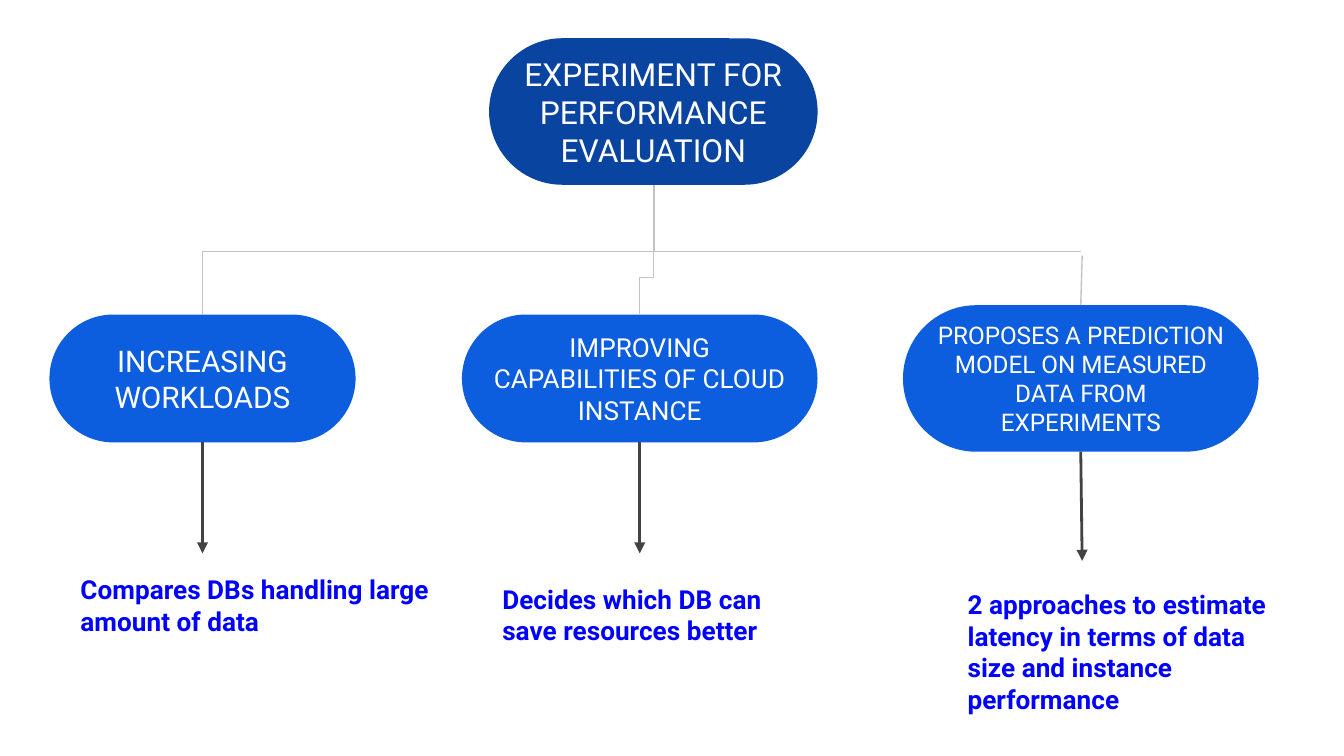
import lxml.etree
import pptx
import pptx.dml.color
import pptx.enum.shapes
import pptx.enum.text
import pptx.oxml.ns
import pptx.util

Pt = pptx.util.Pt
qn = pptx.oxml.ns.qn
MSO_CONNECTOR = pptx.enum.shapes.MSO_CONNECTOR
COLORS = {
    "root": "0944A1",
    "branch": "0D5DDF",
    "label": "FFFFFF",
    "note": "0000FF",
    "tree": "C2C2C2",
    "arrow": "434343",
}


def write(box, text, size, color, bold, align):
    frame = box.text_frame
    frame.word_wrap = True
    frame.margin_left = frame.margin_right = Pt(7.2)
    frame.margin_top = frame.margin_bottom = Pt(7.2)
    frame.text = text
    para = frame.paragraphs[0]
    para.alignment = align
    font = para.runs[0].font
    font.name, font.size, font.bold = "Roboto", Pt(size), bold
    font.color.rgb = pptx.dml.color.RGBColor.from_string(COLORS[color])


def connect(kind, start, end, color, width):
    """Add a connector between two points, without a shadow."""
    line = slide.shapes.add_connector(kind, *[Pt(value) for value in start + end])
    line.line.color.rgb = pptx.dml.color.RGBColor.from_string(COLORS[color])
    line.line.width = Pt(width)
    lxml.etree.SubElement(line._element.spPr, qn("a:effectLst"))
    return line


deck = pptx.Presentation()
deck.slide_width, deck.slide_height = Pt(720), Pt(405)
slide = deck.slides.add_slide(deck.slide_layouts[6])

# Rounded boxes: text, left, top, width, height, text size, fill
boxes = []
for text, left, top, width, height, size, fill in [
    ("EXPERIMENT FOR PERFORMANCE EVALUATION", 262, 20.5, 176, 78.5, 17, "root"),
    ("INCREASING WORKLOADS", 26.5, 168.5, 164, 68.5, 16, "branch"),
    ("IMPROVING CAPABILITIES OF CLOUD INSTANCE", 247.5, 168.5, 190.5, 68.5, 14, "branch"),
    ("PROPOSES A PREDICTION MODEL ON MEASURED DATA FROM EXPERIMENTS",
     483.75, 163.5, 190.5, 78.5, 13, "branch"),
]:
    box = slide.shapes.add_shape(
        pptx.enum.shapes.MSO_SHAPE.ROUNDED_RECTANGLE, Pt(left), Pt(top), Pt(width), Pt(height))
    box.adjustments[0] = 0.5
    box.shadow.inherit = False
    box.fill.solid()
    box.fill.fore_color.rgb = pptx.dml.color.RGBColor.from_string(COLORS[fill])
    box.line.fill.background()
    box.text_frame.vertical_anchor = pptx.enum.text.MSO_ANCHOR.MIDDLE
    write(box, text, size, "label", False, pptx.enum.text.PP_ALIGN.CENTER)
    boxes.append(box)
root, workloads, capabilities, prediction = boxes

# Elbows leave vertically: the box is laid on its side and turned by 270 degrees
for start, end, preset, bend in [
    ((350.5, 99), (579, 134.75), "bentConnector2", None),
    ((108.5, 168.5), (350, 99), "bentConnector3", 48800),
    ((342.75, 168.5), (350, 129), "bentConnector3", 50000),
]:
    across, down = end[0] - start[0], end[1] - start[1]
    middle_x, middle_y = start[0] + across / 2, start[1] + down / 2
    half_width, half_height = abs(down) / 2, across / 2
    elbow = connect(
        MSO_CONNECTOR.ELBOW,
        (middle_x - half_width, middle_y - half_height),
        (middle_x + half_width, middle_y + half_height), "tree", 0.75)
    properties = elbow._element.spPr
    frame = properties.find(qn("a:xfrm"))
    frame.set("rot", "16200000")
    if down > 0:
        frame.set("flipH", "1")
    geometry = properties.find(qn("a:prstGeom"))
    geometry.set("prst", preset)
    if bend:
        lxml.etree.SubElement(
            geometry.find(qn("a:avLst")), qn("a:gd"), name="adj1", fmla=f"val {bend}")

stub = connect(MSO_CONNECTOR.STRAIGHT, (579, 163.5), (579.75, 137), "tree", 0.75)
stub.begin_connect(prediction, 0)

# Each branch points down to its note: text, left, top, width, height
for box, tip, (text, left, top, width, height) in [
    (workloads, (108.5, 296.5),
     ("Compares DBs handling large amount of data", 36, 300.25, 201, 48)),
    (capabilities, (342.75, 296.5),
     ("Decides which DB can save resources better", 262, 305.25, 176, 48)),
    (prediction, (579.75, 300.5),
     ("2 approaches to estimate latency in terms of data size and instance performance",
      511.25, 308.25, 186.5, 82)),
]:
    arrow = connect(MSO_CONNECTOR.STRAIGHT, (tip[0], 237), tip, "arrow", 1.5)
    arrow.begin_connect(box, 2)
    lxml.etree.SubElement(arrow.line._get_or_add_ln(), qn("a:tailEnd"), type="triangle")
    note = slide.shapes.add_textbox(Pt(left), Pt(top), Pt(width), Pt(height))
    write(note, text, 14, "note", True, pptx.enum.text.PP_ALIGN.LEFT)
    note.text_frame.auto_size = pptx.enum.text.MSO_AUTO_SIZE.SHAPE_TO_FIT_TEXT

deck.save("out.pptx")
